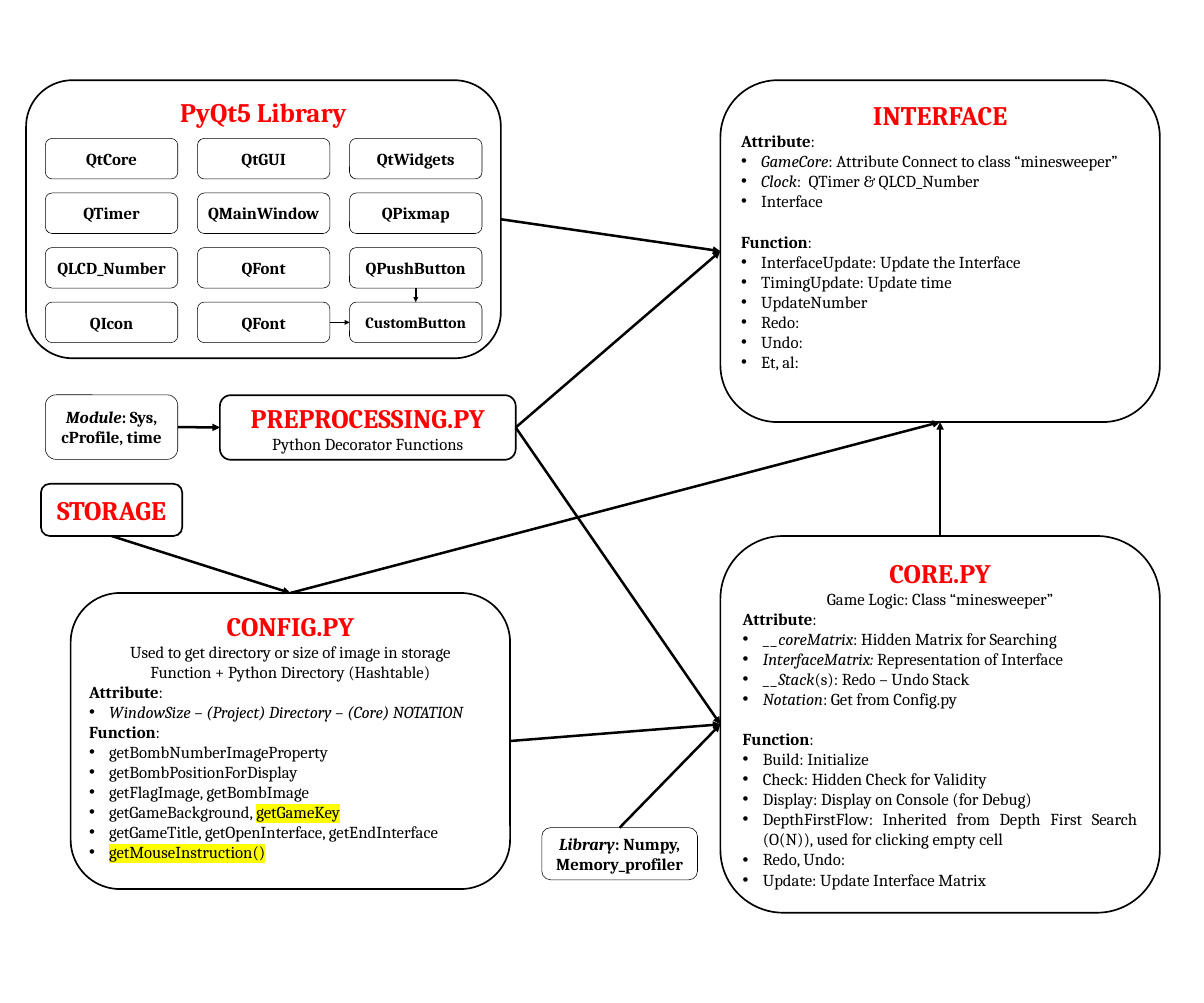
"""Builds the module diagram of a minesweeper program."""
import pptx
import pptx.dml.color
import pptx.enum.shapes
import pptx.enum.text
import pptx.oxml
import pptx.oxml.ns
import pptx.util
from pptx.util import Inches

COLORS = {"title": "FF0000", "ink": "000000", "mark": "FFFF00"}
FONT = "Cambria"
ALIGN = pptx.enum.text.PP_ALIGN
TOP, LEFT, BOTTOM, RIGHT = range(4)

WIDGETS = [
    ["QtCore", "QtGUI", "QtWidgets"],
    ["QTimer", "QMainWindow", "QPixmap"],
    ["QLCD_Number", "QFont", "QPushButton"],
    ["QIcon", "QFont", "CustomButton"],
]
INTERFACE = [
    ("title", "INTERFACE"),
    ("head", "Attribute"),
    ("bullet", ("GameCore", "i"), ": Attribute Connect to class “minesweeper”"),
    ("bullet", ("Clock", "i"), ":  QTimer & QLCD_Number"),
    ("bullet", "Interface"),
    ("spaced head", "Function"),
    ("bullet", "InterfaceUpdate: Update the Interface"),
    ("bullet", "TimingUpdate: Update time"),
    ("bullet", "UpdateNumber"),
    ("bullet", "Redo:"),
    ("bullet", "Undo:"),
    ("bullet", "Et, al:"),
]
CONFIG = [
    ("title", "CONFIG.PY"),
    ("caption", "Used to get directory or size of image in storage"),
    ("caption", "Function + Python Directory (Hashtable)"),
    ("head", "Attribute"),
    ("bullet", ("WindowSize – (Project) Directory – (Core) NOTATION", "i")),
    ("head", "Function"),
    ("bullet", "getBombNumberImageProperty"),
    ("bullet", "getBombPositionForDisplay"),
    ("bullet", "getFlagImage, getBombImage"),
    ("bullet", "getGameBackground, ", ("getGameKey", "h")),
    ("bullet", "getGameTitle, getOpenInterface, getEndInterface"),
    ("bullet", ("getMouseInstruction()", "h")),
]
CORE = [
    ("title", "CORE.PY"),
    ("caption", "Game Logic: Class “minesweeper”"),
    ("head", "Attribute"),
    ("bullet", ("__coreMatrix", "i"), ": Hidden Matrix for Searching"),
    ("bullet", ("InterfaceMatrix: ", "i"), "Representation of Interface"),
    ("bullet", ("__Stack", "i"), "(s): Redo – Undo Stack"),
    ("bullet", ("Notation", "i"), ": Get from Config.py"),
    ("spaced head", "Function"),
    ("bullet", "Build: Initialize"),
    ("bullet", "Check: Hidden Check for Validity"),
    ("bullet", "Display: Display on Console (for Debug)"),
    ("bullet", "DepthFirstFlow: Inherited from Depth First Search (O(N)), "
               "used for clicking empty cell"),
    ("bullet", "Redo, Undo:"),
    ("bullet", "Update: Update Interface Matrix"),
]
PREPROCESSING = [("title", "PREPROCESSING.PY"), ("caption", "Python Decorator Functions")]
MODULE = [("label", ("Module", "bi"), (": Sys, cProfile, time", "b"))]
LIBRARY = [("label", ("Library", "bi"), (": Numpy, Memory_profiler", "b"))]


def rgb(name):
    return pptx.dml.color.RGBColor.from_string(COLORS[name])


def add_run(p, text, style="", size=30, color="ink"):
    r = p.add_run()
    r.text = text
    r.font.name = FONT
    r.font.size = pptx.util.Pt(size)
    r.font.bold = "b" in style
    r.font.italic = "i" in style
    r.font.color.rgb = rgb(color)
    if "h" in style:
        mark = pptx.oxml.parse_xml(
            f'<a:highlight {pptx.oxml.ns.nsdecls("a")}>'
            f'<a:srgbClr val="{COLORS["mark"]}"/></a:highlight>')
        r.font._element.find(pptx.oxml.ns.qn("a:latin")).addprevious(mark)


def add_bullet(p):
    pPr = p._p.get_or_add_pPr()
    pPr.set("marL", str(Inches(0.5)))
    pPr.set("indent", str(Inches(-0.5)))
    for tag, key, value in (("buFont", "typeface", "Arial"), ("buChar", "char", "•")):
        pptx.oxml.ns.qn("a:" + tag)
        pPr.append(pptx.oxml.parse_xml(
            f'<a:{tag} {pptx.oxml.ns.nsdecls("a")} {key}="{value}"/>'))


def fill_paragraph(p, kind, *runs):
    listed = kind == "bullet" or "head" in kind
    p.alignment = ALIGN.JUSTIFY if listed else ALIGN.CENTER
    if kind == "spaced head":
        p.space_before = pptx.util.Pt(36)
    if kind == "bullet":
        add_bullet(p)
    if kind == "title":
        add_run(p, runs[0], "b", 48, "title")
    elif "head" in kind:
        add_run(p, runs[0], "b")
        add_run(p, ":")
    else:
        for run in runs:
            add_run(p, *([run] if isinstance(run, str) else run))


def add_box(slide, x, y, w, h, paragraphs, line=3.0, anchor="MIDDLE"):
    sp = slide.shapes.add_shape(
        pptx.enum.shapes.MSO_SHAPE.ROUNDED_RECTANGLE,
        Inches(x), Inches(y), Inches(w), Inches(h))
    sp.shadow.inherit = False
    sp.fill.background()
    sp.line.color.rgb = rgb("ink")
    sp.line.width = pptx.util.Pt(line)
    tf = sp.text_frame
    tf.word_wrap = True
    tf.vertical_anchor = pptx.enum.text.MSO_ANCHOR[anchor]
    for i, paragraph in enumerate(paragraphs):
        fill_paragraph(tf.add_paragraph() if i else tf.paragraphs[0], *paragraph)
    return sp


def add_arrow(slide, start, start_side, end, end_side, width=4.5):
    cn = slide.shapes.add_connector(pptx.enum.shapes.MSO_CONNECTOR.STRAIGHT, 0, 0, 0, 0)
    cn.begin_connect(start, start_side)
    cn.end_connect(end, end_side)
    cn.line.color.rgb = rgb("ink")
    cn.line.width = pptx.util.Pt(width)
    ns = pptx.oxml.ns.nsdecls("a")
    cn.line._get_or_add_ln().append(pptx.oxml.parse_xml(f'<a:tailEnd {ns} type="triangle"/>'))
    cn._element.spPr.append(pptx.oxml.parse_xml(f"<a:effectLst {ns}/>"))


def add_widgets(slide):
    boxes = {}
    for row, names in enumerate(WIDGETS):
        for col, name in enumerate(names):
            text = (name, "b", 28 if name == "CustomButton" else 30)
            boxes[row, col] = add_box(slide, 1.13 + 3.79 * col, 3.45 + 1.36 * row,
                                      3.3, 1.01, [("label", text)], 1)
    add_arrow(slide, boxes[2, 2], BOTTOM, boxes[3, 2], TOP, 3)
    add_arrow(slide, boxes[3, 1], RIGHT, boxes[3, 2], LEFT, 3)


def main():
    prs = pptx.Presentation()
    prs.slide_width, prs.slide_height = Inches(30), Inches(25)
    slide = prs.slides.add_slide(prs.slide_layouts[6])

    interface = add_box(slide, 17.95, 2, 10.95, 8.52, INTERFACE, anchor="TOP")
    pyqt = add_box(slide, 0.65, 2, 11.83, 6.93, [("title", "PyQt5 Library")], anchor="TOP")
    add_widgets(slide)
    config = add_box(slide, 1.76, 14.78, 10.95, 7.38, CONFIG, anchor="TOP")
    storage = add_box(slide, 1.02, 12.06, 3.52, 1.3, [("title", "STORAGE")])
    core = add_box(slide, 17.95, 13.36, 10.95, 9.39, CORE, anchor="TOP")
    preprocessing = add_box(slide, 5.48, 9.85, 7.37, 1.61, PREPROCESSING)
    module = add_box(slide, 1.13, 9.84, 3.3, 1.61, MODULE, 1)
    library = add_box(slide, 13.5, 20.63, 3.88, 1.3, LIBRARY, 1)

    for link in (
        (pyqt, RIGHT, interface, LEFT),
        (config, TOP, interface, BOTTOM),
        (storage, BOTTOM, config, TOP),
        (config, RIGHT, core, LEFT),
        (module, RIGHT, preprocessing, LEFT),
        (library, TOP, core, LEFT),
        (preprocessing, RIGHT, core, LEFT),
        (preprocessing, RIGHT, interface, LEFT),
        (core, TOP, interface, BOTTOM),
    ):
        add_arrow(slide, *link)
    prs.save("out.pptx")


if __name__ == "__main__":
    main()
